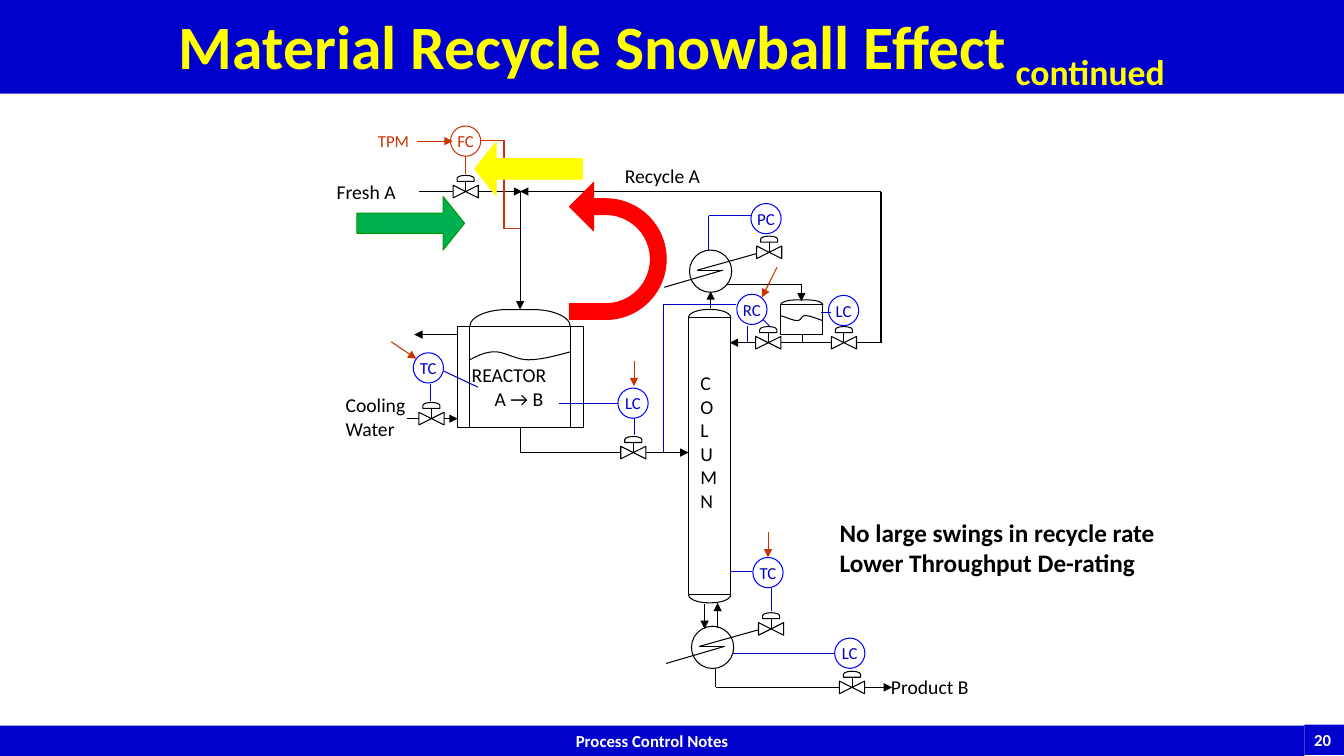
from itertools import pairwise

from lxml.etree import SubElement
from pptx import Presentation
from pptx.dml.color import RGBColor
from pptx.enum.shapes import MSO_CONNECTOR, MSO_SHAPE as SHAPE
from pptx.enum.text import MSO_ANCHOR as ANCHOR, PP_ALIGN as ALIGN
from pptx.oxml.ns import qn
from pptx.util import Pt

COLORS = {"black": "000000", "white": "FFFFFF", "navy": "0000CC", "blue": "0000FF",
          "rust": "CC3300", "green": "00B050", "leaf": "009900", "red": "FF0000",
          "yellow": "FFFF00"}
FONT = "Calibri"
FEED_Y, REACTOR_X, REFLUX_Y, PRODUCT_Y = 136.8, 371.5, 244.8, 491

PIPES = [
    [(290.9, 299), (326.9, 299)],
    [(326.2, 239), (295.9, 239)],
    [(299.5, FEED_Y), (373, FEED_Y)],
    [(REACTOR_X, FEED_Y), (REACTOR_X, 221)],
    [(629.3, REFLUX_Y), (629.3, FEED_Y), (REACTOR_X, FEED_Y)],
    [(REACTOR_X, 305.3), (REACTOR_X, 323.3), (491.8, 323.3)],
    [(507.6, 220.3), (507.6, 208.1)],
    [(503.3, 431.3), (503.3, 449.3)],
    [(512.6, 448.6), (512.6, 430.6)],
    [(518.4, 203), (572.4, 203), (572.4, 215.3)],
    [(629.3, REFLUX_Y), (521.3, REFLUX_Y)],
    [(511.2, 478.1), (511.2, PRODUCT_Y), (637.2, PRODUCT_Y)],
]
VALVES = [(308.2, 299), (332.6, FEED_Y), (452.4, 323.3), (549.4, 180.2),
          (550.8, 449.2), (602.8, REFLUX_Y), (548.8, REFLUX_Y), (608.6, PRODUCT_Y)]
SIGNALS = [
    [(341.3, 276.5), (316.8, 265)],
    [(307.4, 274.3), (307.4, 286.6)],
    [(399.6, 288), (441.4, 288)],
    [(452.9, 298.8), (452.9, 311)],
    [(506.2, 178.6), (506.2, 154.1), (536.4, 154.1)],
    [(586.8, 223.2), (593.3, 223.2)],
    [(523.4, 466.6), (595.4, 466.6)],
    [(534.2, 244.1), (534.2, 232.6)],
    [(473.8, 322.6), (473.8, 217.8), (525.6, 217.8)],
    [(545, 228.2), (550.1, 233.3)],
    [(521.3, 408.2), (537.1, 408.2)],
    [(550.8, 419.8), (550.8, 436.3)],
]
FEED_SIGNALS = [
    [(REACTOR_X, 163.4), (360, 163.4), (360, 100.1), (343.4, 100.1)],
    [(332.6, 111.6), (332.6, 124.6)],
]
SETPOINTS = [
    [(279.4, 244.1), (297.4, 256.3)],
    [(452.9, 257.8), (452.9, 275.8)],
    [(548.6, 380.2), (548.6, 398.2)],
    [(555.1, 190.8), (544.3, 212.4)],
    [(298.1, 100.8), (323.3, 100.8)],
]
CONTROLLERS = [("TC", 306, 262.8), ("LC", 452.2, 288), ("PC", 547.2, 156.2),
               ("LC", 602.6, 221.8), ("LC", 607, 466.6), ("RC", 537.1, 221),
               ("TC", 548.6, 409)]
REACTOR_LEVEL = [(335.5, 257), (341.3, 254.2), (346.3, 251.3), (353.5, 251.3),
                 (360.7, 251.3), (368.6, 257), (377.3, 257),
                 (386.6, 257), (396.7, 254.2), (407.5, 251.3)]
DRUM_LEVEL = [(557.3, 225.4), (562.3, 226.8), (566.6, 229), (569.5, 229),
              (572.4, 229), (572.4, 225.4), (575.3, 225.4),
              (578.2, 225.4), (585.4, 228.2), (587.5, 229)]
LABELS = [
    (["REACTOR"], 329.8, 255.6, 68.4, 24.5),
    (["A → B"], 346.3, 272.9, 50.4, 24.5),
    (["Cooling", "Water"], 239.8, 277.2, 57.6, 41),
    (["Fresh A"], 233.3, 125.3, 56.9, 24.5),
    (["Recycle A"], 439.2, 113.8, 69.1, 24.5),
    (list("COLUMN"), 493.2, 261.4, 26.6, 108.7),
    (["Product B"], 629.3, 478.8, 70.6, 24.5),
]


def rgb(name):
    return RGBColor.from_string(COLORS[name])


def write(sp, lines, size=14, color="black", bold=False, align=ALIGN.LEFT,
          anchor=ANCHOR.TOP, wrap=False, inset=None):
    tf = sp.text_frame
    tf.word_wrap, tf.vertical_anchor = wrap, anchor
    if inset is not None:
        tf.margin_left = tf.margin_right = tf.margin_top = tf.margin_bottom = Pt(inset)
    for i, text in enumerate(lines):
        p = tf.add_paragraph() if i else tf.paragraphs[0]
        p.alignment = align
        add_run(p, text, size, color, bold)
    return tf


def add_run(p, text, size, color, bold):
    r = p.add_run()
    r.text = text
    r.font.name, r.font.size, r.font.bold = FONT, Pt(size), bold
    r.font.color.rgb = rgb(color)
    return r


def label(slide, lines, x, y, w, h, **fmt):
    write(slide.shapes.add_textbox(Pt(x), Pt(y), Pt(w), Pt(h)), lines, **fmt)


def paint(sp, fill, line):
    sp.shadow.inherit = False
    if fill:
        sp.fill.solid()
        sp.fill.fore_color.rgb = rgb(fill)
    else:
        sp.fill.background()
    if line:
        sp.line.color.rgb, sp.line.width = rgb(line), Pt(0.75)
    else:
        sp.line.fill.background()


def shape(slide, kind, x, y, w, h, fill=None, line="black", rot=0, adj=(), flip=False):
    sp = slide.shapes.add_shape(kind, Pt(x), Pt(y), Pt(w), Pt(h))
    paint(sp, fill, line)
    sp.rotation = rot
    for i, value in enumerate(adj):
        sp.adjustments[i] = value
    if flip:
        sp._element.spPr.find(qn("a:xfrm")).set("flipH", "1")
    return sp


def centred(slide, kind, cx, cy, w, h, **look):
    return shape(slide, kind, cx - w / 2, cy - h / 2, w, h, **look)


def route(slide, points, color="black", arrow=False):
    """Join the points with straight lines; an arrow ends the last one."""
    for (x1, y1), (x2, y2) in pairwise(points):
        c = slide.shapes.add_connector(MSO_CONNECTOR.STRAIGHT, Pt(x1), Pt(y1), Pt(x2), Pt(y2))
        c.line.color.rgb, c.line.width = rgb(color), Pt(0.75)
        SubElement(c._element.spPr, qn("a:effectLst"))
    if arrow:
        SubElement(c._element.spPr.find(qn("a:ln")), qn("a:tailEnd"), type="triangle")


def liquid_level(slide, knots, steps=10):
    """Draw a chain of cubic Bezier curves as an open outline."""
    points = []
    for i in range(0, len(knots) - 1, 3):
        for t in (n / steps for n in range(1, steps + 1)):
            weights = ((1 - t) ** 3, 3 * t * (1 - t) ** 2, 3 * t * t * (1 - t), t ** 3)
            points.append([Pt(sum(w * k[axis] for w, k in zip(weights, knots[i:i + 4])))
                           for axis in (0, 1)])
    builder = slide.shapes.build_freeform(Pt(knots[0][0]), Pt(knots[0][1]))
    builder.add_line_segments(points, close=False)
    paint(builder.convert_to_shape(), None, "black")


def vessel(slide, x, y, w, h, cap, bend, bottom=False):
    shape(slide, SHAPE.RECTANGLE, x, y, w, h)
    ends = [(y - cap / 2, 270)] + ([(y + h + cap / 2, 90)] if bottom else [])
    for cy, rot in ends:
        centred(slide, SHAPE.RIGHT_BRACKET, x + w / 2, cy, cap, w, rot=rot, adj=[bend])


def valve(slide, x, y):
    centred(slide, SHAPE.FLOWCHART_COLLATE, x, y, 9, 18, fill="white", rot=270)
    route(slide, [(x, y), (x, y - 7.4)])
    centred(slide, SHAPE.FLOWCHART_DELAY, x, y - 9.4, 4.3, 12.2, fill="white", rot=270)


def exchanger(slide, x, y):
    centred(slide, SHAPE.OVAL, x, y, 30.2, 30.2)
    zigzag = [(33.1, -12.6), (-9.4, -0.7), (8.6, -0.7), (-33.1, 11.5)]
    route(slide, [(x + dx, y + dy) for dx, dy in zigzag])


def controller(slide, name, x, y, line="blue", color="navy"):
    sp = centred(slide, SHAPE.OVAL, x, y, 21.6, 21.6, line=line)
    write(sp, [name], size=12, color=color, align=ALIGN.CENTER, anchor=ANCHOR.MIDDLE, inset=0)


def bars(slide):
    footer = dict(size=12, color="white", bold=True)
    sp = shape(slide, SHAPE.RECTANGLE, 0, 518.4, 931.7, 21.6, fill="navy", line=None)
    write(sp, ["Process Control Notes"], align=ALIGN.CENTER, wrap=True, **footer)
    sp = shape(slide, SHAPE.RECTANGLE, 931.7, 517.7, 28.3, 21.6, fill="navy", line=None)
    write(sp, ["20"], **footer)
    sp = shape(slide, SHAPE.RECTANGLE, 0, 0, 960, 67, fill="navy", line=None)
    p = write(sp, ["Material Recycle Snowball Effect"], size=44, color="yellow", bold=True,
              align=ALIGN.CENTER, anchor=ANCHOR.MIDDLE, wrap=True).paragraphs[0]
    p.line_spacing = 0.9
    r = add_run(p, " continued", 44, "yellow", True)
    r.font._element.set("baseline", "-25000")


def main():
    prs = Presentation()
    prs.slide_width, prs.slide_height = Pt(960), Pt(540)
    slide = prs.slides.add_slide(prs.slide_layouts[6])
    bars(slide)

    shape(slide, SHAPE.RECTANGLE, 326.9, 233.3, 90, 72)
    vessel(slide, 335.5, 233.3, 72, 72, cap=12.2, bend=2.198)
    vessel(slide, 491.8, 226.8, 30.2, 198, cap=5.8, bend=2.5, bottom=True)
    vessel(slide, 557.6, 217.8, 30.2, 20.9, cap=3.6, bend=3)
    liquid_level(slide, REACTOR_LEVEL)
    liquid_level(slide, DRUM_LEVEL)
    exchanger(slide, 507.6, 193.7)
    exchanger(slide, 509, 462.4)
    for points in PIPES:
        route(slide, points, arrow=True)
    route(slide, [(573.1, 239), (573.1, REFLUX_Y)])
    for x, y in VALVES:
        valve(slide, x, y)
    for lines, *place in LABELS:
        label(slide, lines, *place)

    for points in SIGNALS:
        route(slide, points, "navy")
    for name, x, y in CONTROLLERS:
        controller(slide, name, x, y)
    for points in SETPOINTS:
        route(slide, points, "rust", arrow=True)
    for points in FEED_SIGNALS:
        route(slide, points, "rust")
    controller(slide, "FC", 332.6, 100.8, line="rust", color="rust")
    label(slide, ["TPM"], 262.8, 90, 37.4, 21.6, size=12, color="rust")

    block = dict(adj=[0.382, 0.402])
    shape(slide, SHAPE.RIGHT_ARROW, 254.9, 140.4, 77, 38.2, fill="green", line="leaf", **block)
    shape(slide, SHAPE.U_TURN_ARROW, 392.4, 144.7, 97.9, 69.1, fill="red", line="red",
          rot=90, flip=True, adj=[0.163, 0.25, 0.25, 0.624, 1])
    shape(slide, SHAPE.RIGHT_ARROW, 339.1, 101.5, 77, 38.2, fill="yellow", line="yellow",
          flip=True, **block)
    label(slide, ["No large swings in recycle rate", "Lower Throughput De-rating"],
          592.6, 365.8, 241.2, 51.1, size=18, bold=True)
    prs.save("out.pptx")


if __name__ == "__main__":
    main()
